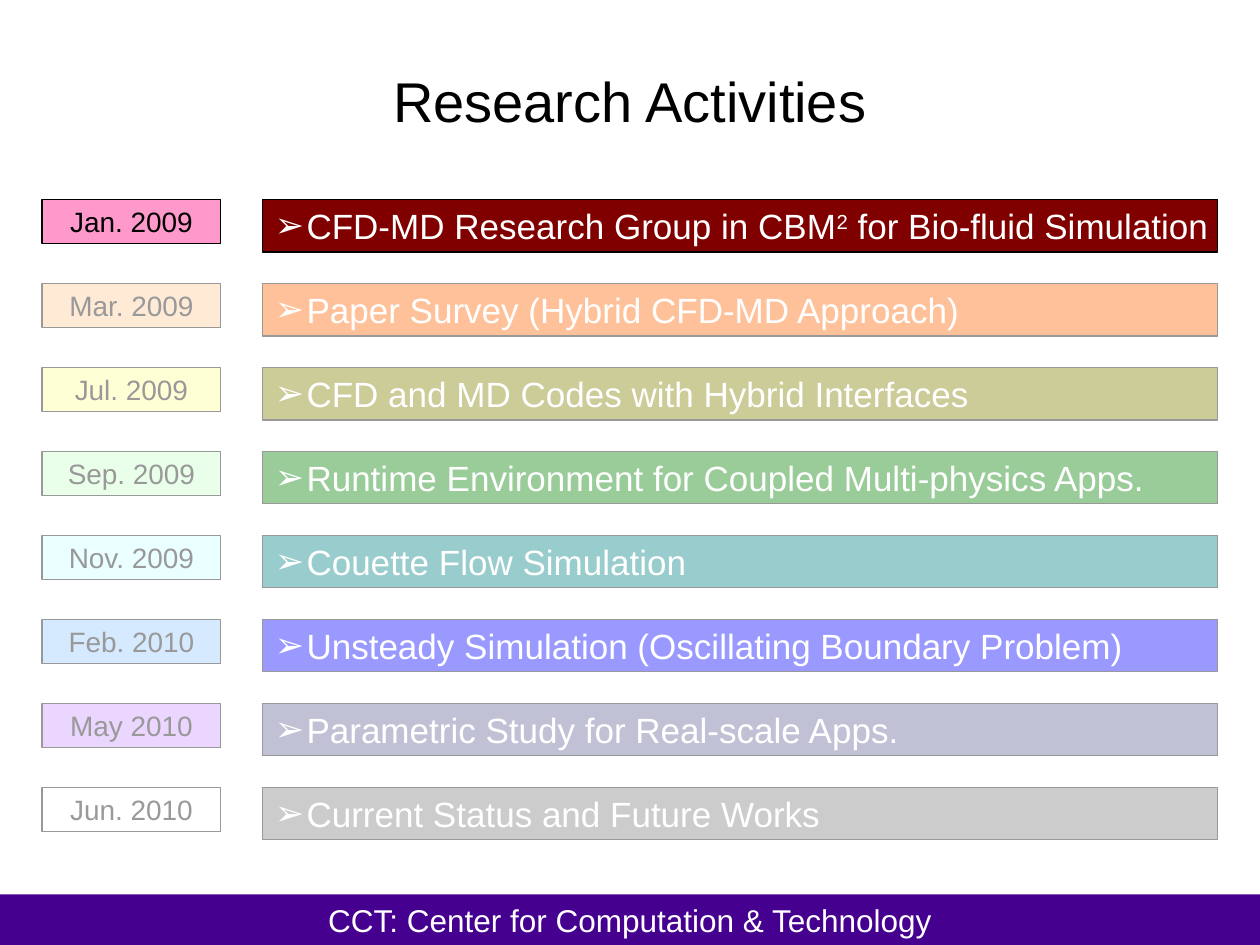
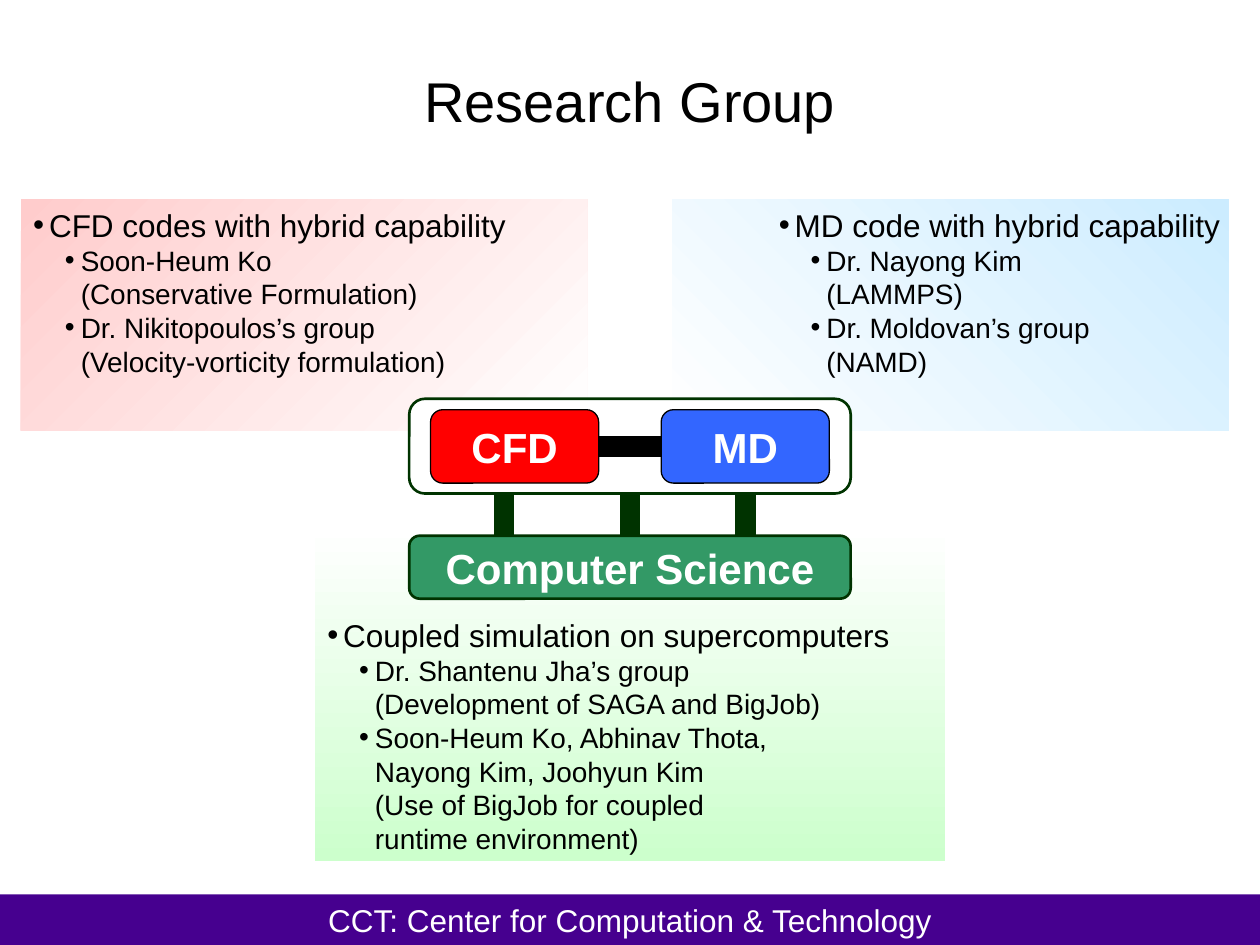
from lxml.etree import SubElement
from pptx import Presentation
from pptx.dml.color import RGBColor
from pptx.enum.shapes import MSO_CONNECTOR, MSO_SHAPE
from pptx.enum.text import MSO_ANCHOR, PP_ALIGN
from pptx.oxml.ns import qn
from pptx.util import Cm, Pt

FONT = "Arial"
BLACK = RGBColor(0x00, 0x00, 0x00)
WHITE = RGBColor(0xFF, 0xFF, 0xFF)
PURPLE = RGBColor(0x46, 0x00, 0x8F)
DARK_GREEN = RGBColor(0x00, 0x33, 0x00)
SEA_GREEN = RGBColor(0x33, 0x99, 0x66)
RED = RGBColor(0xFF, 0x00, 0x00)
BLUE = RGBColor(0x33, 0x66, 0xFF)
PALE_RED = RGBColor(0xFF, 0xCC, 0xCC)
PALE_BLUE = RGBColor(0xCC, 0xEC, 0xFF)
PALE_GREEN = RGBColor(0xCC, 0xFF, 0xCC)


def add_box(s, kind, left, top, width, height, fill=None, line=None, weight=0.75):
    """Add a shadowless shape, measured in cm, whose text does not wrap."""
    sp = s.shapes.add_shape(kind, Cm(left), Cm(top), Cm(width), Cm(height))
    sp.shadow.inherit = False
    if fill is not None:
        sp.fill.solid()
        sp.fill.fore_color.rgb = fill
    if line is None:
        sp.line.fill.background()
    else:
        sp.line.color.rgb = line
        sp.line.width = Pt(weight)
    if kind == MSO_SHAPE.ROUNDED_RECTANGLE:
        sp.adjustments[0] = 0.167
    sp.text_frame.word_wrap = False
    sp.text_frame.vertical_anchor = MSO_ANCHOR.MIDDLE
    return sp


def write(p, text, size, color, bold=False, bullet=None, indent=0, hanging=0):
    """Fill a paragraph: ^ encloses superscripts, a newline is a line break."""
    p.alignment = PP_ALIGN.LEFT if bullet else PP_ALIGN.CENTER
    if bullet:
        pPr = p._p.get_or_add_pPr()
        pPr.set("marL", str(Cm(indent)))
        pPr.set("indent", str(-Cm(hanging)))
        SubElement(SubElement(pPr, qn("a:buClr")), qn("a:srgbClr")).set("val", str(color))
        SubElement(pPr, qn("a:buFont")).set("typeface", FONT)
        SubElement(pPr, qn("a:buChar")).set("char", bullet)
    for i, text_line in enumerate(text.split("\n")):
        if i:
            p.add_line_break()
        for j, piece in enumerate(text_line.split("^")):
            r = p.add_run()
            r.text = piece
            r.font.name = FONT
            r.font.size = Pt(size)
            r.font.bold = bold
            r.font.color.rgb = color
            if j % 2:
                r._r.get_or_add_rPr().set("baseline", "30000")


prs = Presentation()
prs.slide_width, prs.slide_height = Cm(25.4), Cm(19.05)

# Title and footer band of every slide
for title in ("Research Activities", "Research Group"):
    s = prs.slides.add_slide(prs.slide_layouts[6])
    band = add_box(s, MSO_SHAPE.RECTANGLE, 0, 18.03, 25.4, 1.02, PURPLE)
    band.text_frame.vertical_anchor = MSO_ANCHOR.TOP
    write(band.text_frame.paragraphs[0], "CCT: Center for Computation & Technology", 18, WHITE)
    tf = s.shapes.add_textbox(Cm(1.9), Cm(0.42), Cm(21.6), Cm(3.18)).text_frame
    tf.word_wrap = True
    tf.vertical_anchor = MSO_ANCHOR.MIDDLE
    write(tf.paragraphs[0], title, 32, BLACK)
activities, group = prs.slides

# Slide 1: timeline, all but the first row veiled
timeline = [
    ("Jan. 2009", "FF99CC", "CFD-MD Research Group in CBM^2^ for Bio-fluid Simulation", "800000"),
    ("Mar. 2009", "FFCC99", "Paper Survey (Hybrid CFD-MD Approach)", "FF6600"),
    ("Jul. 2009", "FFFF99", "CFD and MD Codes with Hybrid Interfaces", "808000"),
    ("Sep. 2009", "CCFFCC", "Runtime Environment for Coupled Multi-physics Apps.", "008000"),
    ("Nov. 2009", "CCFFFF", "Couette Flow Simulation", "008080"),
    ("Feb. 2010", "99CCFF", "Unsteady Simulation (Oscillating Boundary Problem)", "0000FF"),
    ("May 2010", "CC99FF", "Parametric Study for Real-scale Apps.", "666699"),
    ("Jun. 2010", "FFFFFF", "Current Status and Future Works", "808080"),
]
for row, (date, date_fill, activity, activity_fill) in enumerate(timeline):
    top = 4.02 + row * 1.693
    sp = add_box(activities, MSO_SHAPE.RECTANGLE, 0.85, top, 3.6, 0.89,
                 RGBColor.from_string(date_fill), BLACK)
    write(sp.text_frame.paragraphs[0], date, 16, BLACK)
    sp = add_box(activities, MSO_SHAPE.RECTANGLE, 5.29, top, 19.26, 1.06,
                 RGBColor.from_string(activity_fill), BLACK)
    write(sp.text_frame.paragraphs[0], activity, 20, WHITE,
          bullet="➢", indent=0.64, hanging=0.64)

veil = add_box(activities, MSO_SHAPE.RECTANGLE, 0.21, 5.5, 24.77, 12.07, WHITE)
veil_color = veil.fill._xPr.find(qn("a:solidFill")).find(qn("a:srgbClr"))
SubElement(veil_color, qn("a:alpha")).set("val", "60000")

# Slide 2: gradient panels (box, colours, angle, anchor, indent, heading, members)
panels = [
    ((13.55, 4.02, 11.22, 4.66), (WHITE, PALE_BLUE), 45, MSO_ANCHOR.TOP, 2.22,
     "MD code with hybrid capability",
     ["Dr. Nayong Kim\n(LAMMPS)", "Dr. Moldovan’s group\n(NAMD)"]),
    ((6.35, 10.58, 12.7, 6.78), (WHITE, PALE_GREEN), 270, MSO_ANCHOR.BOTTOM, 0.32,
     "Coupled simulation on supercomputers",
     ["Dr. Shantenu Jha’s group\n(Development of SAGA and BigJob)",
      "Soon-Heum Ko, Abhinav Thota,\nNayong Kim, Joohyun Kim\n"
      "(Use of BigJob for coupled\nruntime environment)"]),
    ((0.42, 4.02, 11.43, 4.66), (PALE_RED, WHITE), 315, MSO_ANCHOR.TOP, 0.32,
     "CFD codes with hybrid capability",
     ["Soon-Heum Ko\n(Conservative Formulation)",
      "Dr. Nikitopoulos’s group\n(Velocity-vorticity formulation)"]),
]
for box, colors, angle, anchor, indent, heading, members in panels:
    sp = add_box(group, MSO_SHAPE.RECTANGLE, *box)
    sp.fill.gradient()
    sp.fill.gradient_angle = angle
    for stop, color in zip(sp.fill.gradient_stops, colors):
        stop.color.rgb = color
    tf = sp.text_frame
    tf.vertical_anchor = anchor
    write(tf.paragraphs[0], heading, 18, BLACK, bullet="•", indent=indent, hanging=0.32)
    for member in members:
        p = tf.add_paragraph()
        p.level = 1
        write(p, member, 16, BLACK, bullet="•", indent=indent + 0.64, hanging=0.32)

# Diagram of the coupled disciplines
blocks = {}
for name, box, fill, line, weight in [
    ("Computer Science", (8.25, 10.8, 8.9, 1.27), SEA_GREEN, DARK_GREEN, 1.5),
    ("", (8.25, 8.04, 8.9, 1.91), WHITE, DARK_GREEN, 1.5),
    ("CFD", (8.68, 8.26, 3.39, 1.48), RED, BLACK, 0.75),
    ("MD", (13.33, 8.26, 3.39, 1.48), BLUE, BLACK, 0.75),
]:
    sp = add_box(group, MSO_SHAPE.ROUNDED_RECTANGLE, *box, fill, line, weight)
    if name:
        write(sp.text_frame.paragraphs[0], name, 24, WHITE, bold=True)
    blocks[name] = sp

# Links: start, end, colour, joined blocks with their sides
for x1, y1, x2, y2, color, joins in [
    (12.07, 9.0, 13.33, 9.0, BLACK, (("CFD", 3), ("MD", 1))),
    (10.16, 9.95, 10.16, 10.8, DARK_GREEN, None),
    (12.7, 9.95, 12.7, 10.8, DARK_GREEN, (("", 2), ("Computer Science", 0))),
    (15.03, 9.95, 15.03, 10.8, DARK_GREEN, None),
]:
    link = group.shapes.add_connector(MSO_CONNECTOR.STRAIGHT, Cm(x1), Cm(y1), Cm(x2), Cm(y2))
    link.line.color.rgb = color
    link.line.width = Pt(12)
    SubElement(link._element.spPr, qn("a:effectLst"))
    if joins:
        (first, first_side), (last, last_side) = joins
        link.begin_connect(blocks[first], first_side)
        link.end_connect(blocks[last], last_side)

prs.save("out.pptx")
